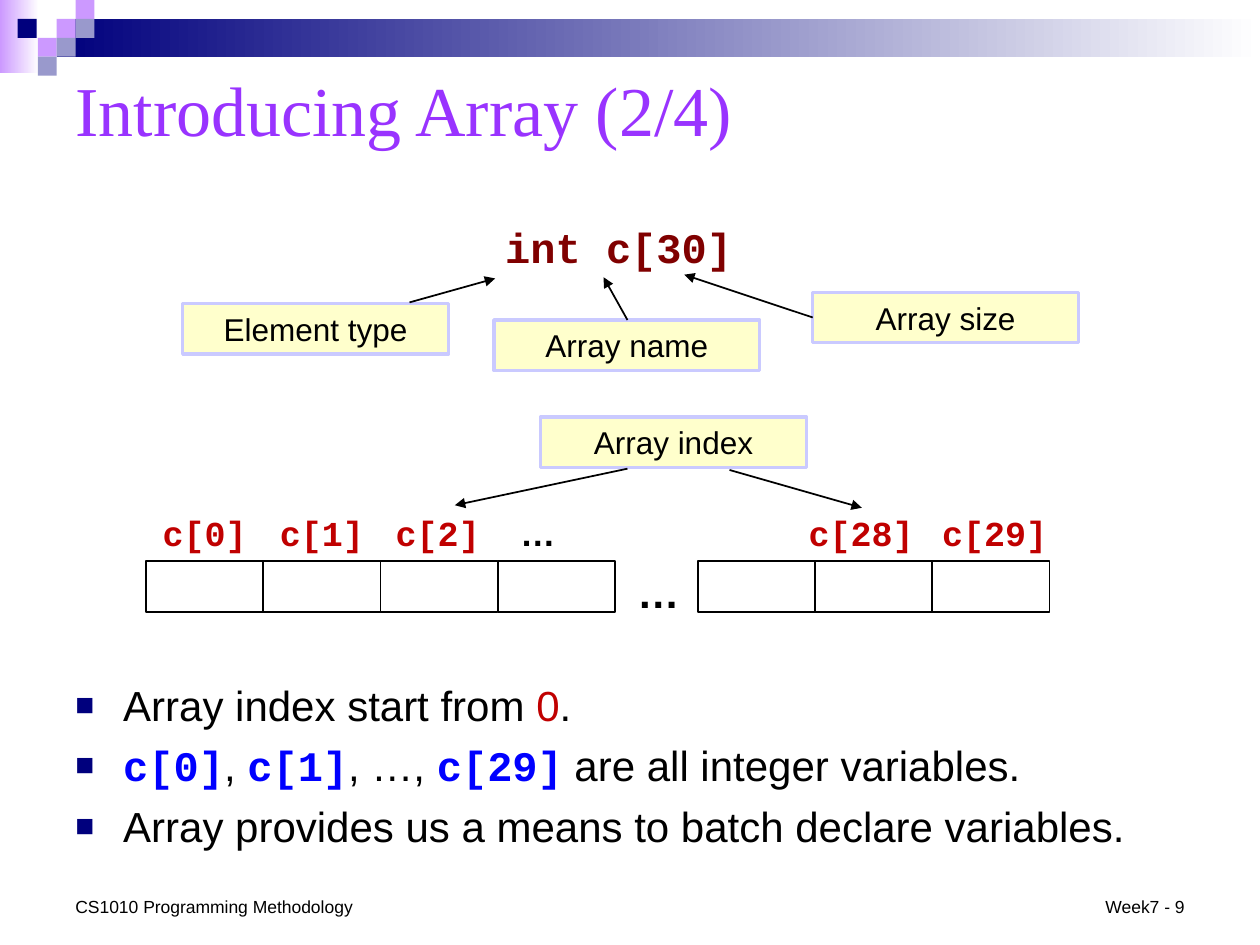
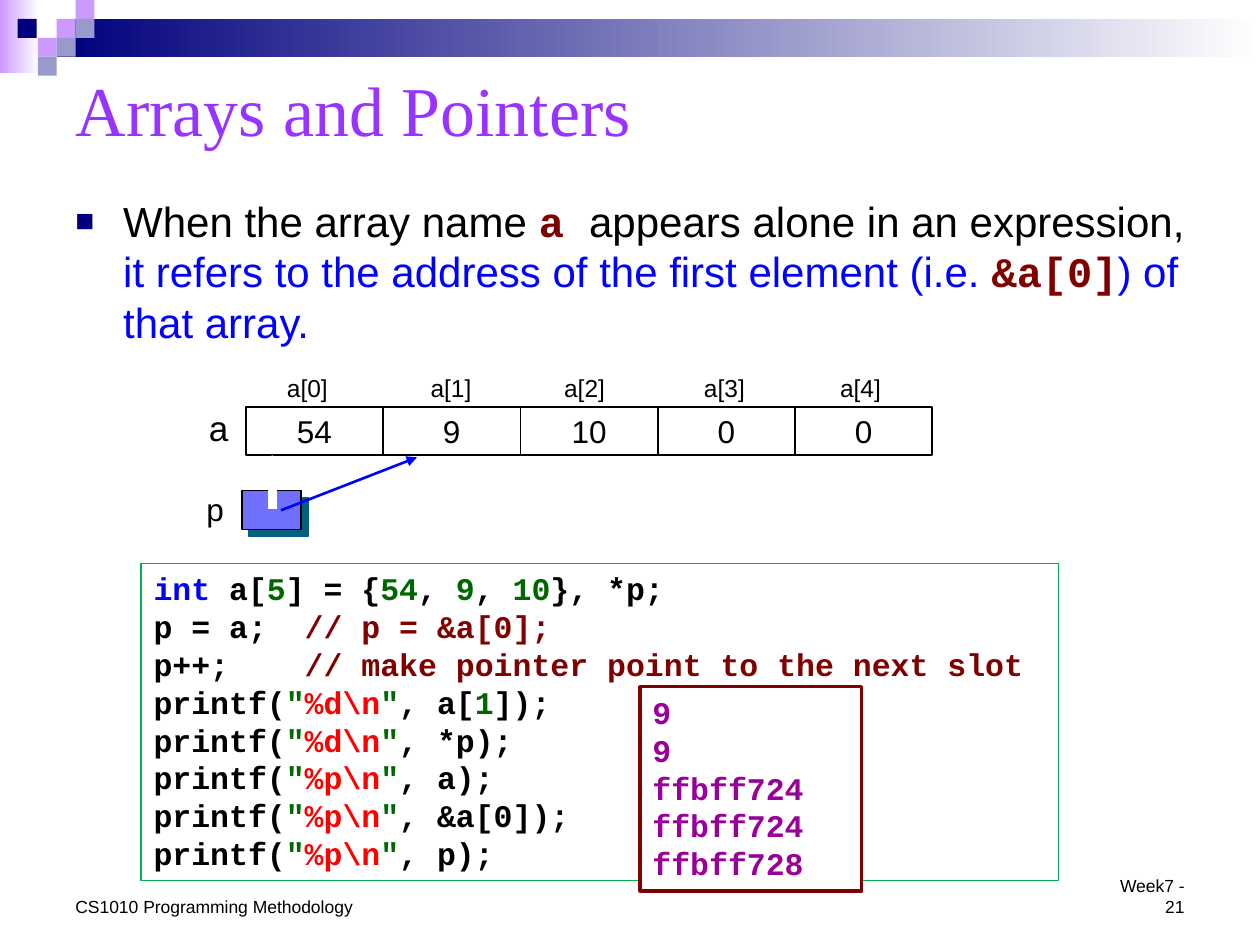
import pptx
import pptx.dml.color
import pptx.enum.shapes
import pptx.enum.text
import pptx.oxml.ns
import pptx.util
from lxml import etree
from pptx.util import Inches

SANS, MONO, SERIF = "Arial", "Courier New", "Times New Roman"
BLACK, WHITE, BLUE, RED = "000000", "FFFFFF", "0000FF", "C00000"
NAVY, LILAC, SLATE, PURPLE = "00007D", "CC99FF", "9999CC", "9933FF"
MAROON, GREEN, FORMAT_RED = "800000", "006600", "FF0000"
LEFT = pptx.enum.text.PP_ALIGN.LEFT
CENTER = pptx.enum.text.PP_ALIGN.CENTER
RIGHT = pptx.enum.text.PP_ALIGN.RIGHT
TOP = pptx.enum.text.MSO_ANCHOR.TOP
MIDDLE = pptx.enum.text.MSO_ANCHOR.MIDDLE
BOTTOM = pptx.enum.text.MSO_ANCHOR.BOTTOM
TILE = 0.15
TILES = [(0.45, 0.15, LILAC), (0.6, 0, LILAC), (0.6, 0.15, SLATE), (0.3, 0.3, LILAC),
         (0.14, 0.15, NAVY), (0.45, 0.3, SLATE), (0.3, 0.45, SLATE)]


def rgb(value):
    return pptx.dml.color.RGBColor.from_string(value)


def add_xml(parent, tag, **attributes):
    return etree.SubElement(parent, pptx.oxml.ns.qn(tag), attributes)


def set_font(font, size, name, color, bold=False):
    font.size = pptx.util.Pt(size)
    font.name = name
    font.bold = bold
    font.color.rgb = rgb(color)


def add_bullet(paragraph, first):
    properties = paragraph._p.get_or_add_pPr()
    properties.set("marL", str(Inches(0.38)))
    properties.set("indent", str(Inches(-0.38)))
    paragraph.space_before = pptx.util.Pt(0 if first else 5.8)
    add_xml(add_xml(properties, "a:buClr"), "a:srgbClr", val=NAVY)
    add_xml(properties, "a:buSzPct", val="75000")
    add_xml(properties, "a:buFont", typeface=SANS)
    add_xml(properties, "a:buChar", char="■")


def write(box, lines, size, name=SANS, color=BLACK, bold=False, align=LEFT,
          anchor=TOP, bullets=False):
    frame = box.text_frame
    frame.word_wrap = True
    frame.vertical_anchor = anchor
    for index, line in enumerate(lines):
        paragraph = frame.add_paragraph() if index else frame.paragraphs[0]
        paragraph.alignment = align
        if bullets:
            add_bullet(paragraph, index == 0)
        set_font(paragraph.font, size, name, color, bold)
        for span in [line] if isinstance(line, str) else line:
            run = paragraph.add_run()
            if isinstance(span, str):
                run.text = span
                continue
            run.text, span_color, *span_font = span
            run.font.color.rgb = rgb(span_color)
            if span_font:
                run.font.name = span_font[0]
                run.font.bold = True


def add_text(page, place, lines, size, **style):
    box = page.shapes.add_textbox(*map(Inches, place))
    write(box, lines, size, **style)
    return box


def add_box(page, place, fill=None, line=None, width=1):
    box = page.shapes.add_shape(pptx.enum.shapes.MSO_SHAPE.RECTANGLE, *map(Inches, place))
    box.shadow.inherit = False
    if fill:
        box.fill.solid()
        box.fill.fore_color.rgb = rgb(fill)
    else:
        box.fill.background()
    if line:
        box.line.color.rgb = rgb(line)
        box.line.width = pptx.util.Pt(width)
    else:
        box.line.fill.background()
    return box


def add_fading_band(page, place, color):
    band = add_box(page, place)
    band.fill.gradient()
    band.fill.gradient_angle = 0
    for stop, stop_color in zip(band.fill.gradient_stops, (color, WHITE)):
        stop.color.rgb = rgb(stop_color)


def add_arrow(page, start, end, color=BLACK, width=1):
    arrow = page.shapes.add_connector(pptx.enum.shapes.MSO_CONNECTOR.STRAIGHT,
                                      *map(Inches, start + end))
    arrow.line.color.rgb = rgb(color)
    arrow.line.width = pptx.util.Pt(width)
    properties = arrow._element.spPr
    add_xml(properties.find(pptx.oxml.ns.qn("a:ln")), "a:tailEnd", type="triangle")
    add_xml(properties, "a:effectLst")


def add_hard_shadow(box, color):
    effects = box._element.spPr.find(pptx.oxml.ns.qn("a:effectLst"))
    shadow = add_xml(effects, "a:outerShdw", dist=str(pptx.util.Pt(5.7)),
                     dir="2700000", algn="ctr", rotWithShape="0")
    add_xml(shadow, "a:srgbClr", val=color)


def add_callout(page, left, top, text):
    callout = add_box(page, (left, top, 2.11, 0.4), "FFFFCC", "CACAFF", 2)
    write(callout, [text], 18, align=CENTER, anchor=MIDDLE)


def add_cells(page, left, top, width, height, values):
    for index, value in enumerate(values):
        cell = add_box(page, (left + index * width, top, width, height), line=BLACK)
        if value:
            write(cell, [value], 18, align=CENTER, anchor=MIDDLE)


def add_bullets(page, place, lines):
    add_text(page, place, lines, 24, bullets=True)


def add_page(deck, title, number):
    page = deck.slides.add_slide(deck.slide_layouts.get_by_name("Title Only"))
    add_fading_band(page, (0, 0, 0.31, 0.58), LILAC)
    add_fading_band(page, (0.45, 0.15, 9.55, 0.3), NAVY)
    for left, top, color in TILES:
        add_box(page, (left, top, TILE, TILE), color)
    heading = page.shapes.title
    heading.left, heading.top, heading.width, heading.height = map(Inches, (0.5, 0.42, 9, 0.88))
    write(heading, [title], 40, name=SERIF, color=PURPLE, anchor=MIDDLE)
    add_text(page, (0.5, 7.06, 2.42, 0.27), ["CS1010 Programming Methodology"], 10,
             anchor=BOTTOM)
    add_text(page, (8.66, 7.06, 0.84, 0.27), [f"Week7 - {number}"], 10,
             align=RIGHT, anchor=BOTTOM)
    return page


def printf_line(conversion, *arguments):
    quote = ('"', GREEN)
    return ["printf(", quote, (conversion + "\\n", FORMAT_RED), quote, ", ", *arguments, ");"]


def build_introduction(deck):
    page = add_page(deck, "Introducing Array (2/4)", 9)
    add_text(page, (3.61, 1.71, 2.6, 0.51), ["int c[30]"], 24,
             name=MONO, color=MAROON, bold=True, align=CENTER)
    add_callout(page, 3.92, 2.54, "Array name")
    add_callout(page, 1.45, 2.41, "Element type")
    add_callout(page, 6.45, 2.32, "Array size")
    add_callout(page, 4.29, 3.31, "Array index")
    for start, end in [((4.98, 2.54), (4.79, 2.2)), ((3.25, 2.4), (3.93, 2.21)),
                       ((6.45, 2.52), (5.43, 2.18)), ((4.98, 3.72), (3.61, 4.01)),
                       ((5.79, 3.73), (6.84, 4.03))]:
        add_arrow(page, start, end)

    add_cells(page, 1.16, 4.45, 0.93, 0.41, [""] * 4)
    add_cells(page, 5.54, 4.45, 0.93, 0.41, [""] * 3)
    for left, width, text in [(1.16, 0.93, "c[0]"), (2.09, 0.93, "c[1]"), (3.01, 0.93, "c[2]"),
                              (6.28, 1.11, "c[28]"), (7.34, 1.11, "c[29]")]:
        add_text(page, (left, 4.01, width, 0.44), [text], 20,
                 name=MONO, color=RED, bold=True, align=CENTER)
    add_text(page, (4, 4.01, 0.54, 0.44), ["…"], 20, bold=True, align=CENTER)
    add_text(page, (4.93, 4.45, 0.59, 0.39), ["…"], 24, bold=True, align=CENTER)

    add_bullets(page, (0.5, 5.34, 9, 1.47), [
        ["Array index start from ", ("0", RED), "."],
        [("c[0]", BLUE, MONO), ", ", ("c[1]", BLUE, MONO), ", …, ", ("c[29]", BLUE, MONO),
         " are all integer variables."],
        "Array provides us a means to batch declare variables."])


def build_pointers(deck):
    page = add_page(deck, "Arrays and Pointers", 21)
    add_bullets(page, (0.5, 1.5, 9, 1.31), [
        ["When the array name ", ("a ", MAROON, MONO), "appears alone in an expression, ",
         ("it refers to the address of the first element (i.e. ", BLUE),
         ("&a[0]", MAROON, MONO), (") of that array.", BLUE)]])

    for index, left in enumerate([2.17, 3.31, 4.37, 5.48, 6.56]):
        add_text(page, (left, 2.91, 0.54, 0.34), [f"a[{index}]"], 14, align=CENTER)
    add_cells(page, 1.95, 3.23, 1.09, 0.38, ["54", "9", "10", "0", "0"])
    add_text(page, (1.56, 3.18, 0.36, 0.44), ["a"], 20)

    pointer = add_box(page, (1.92, 3.89, 0.47, 0.31), "7070FF", BLACK, 0.75)
    add_hard_shadow(pointer, "04617B")
    add_text(page, (1.54, 3.84, 0.34, 0.4), ["p"], 18)
    add_arrow(page, (2.23, 4.05), (3.31, 3.63), BLUE, 1.5)
    add_arrow(page, (2.16, 4.04), (2.16, 3.61), WHITE, 5)

    code = add_box(page, (1.12, 4.47, 7.28, 2.52), WHITE, "00B050", 0.75)
    write(code, [
        [("int ", BLUE), "a[", ("5", GREEN), "] = {", ("54", GREEN), ", ", ("9", GREEN),
         ", ", ("10", GREEN), "}, *p;"],
        ["p = a;  ", ("// p = &a[0];", MAROON)],
        ["p++;    ", ("// make pointer point to the next slot", MAROON)],
        printf_line("%d", "a[", ("1", GREEN), "]"),
        printf_line("%d", "*p"),
        printf_line("%p", "a"),
        printf_line("%p", "&a[0]"),
        printf_line("%p", "p")], 18, name=MONO, bold=True)
    output = add_box(page, (5.08, 5.45, 1.76, 1.62), WHITE, MAROON, 2)
    write(output, ["9", "9", "ffbff724", "ffbff724", "ffbff728"], 18,
          name=MONO, color="990099", bold=True)


def main():
    deck = pptx.Presentation()
    deck.slide_width, deck.slide_height = Inches(10), Inches(7.5)
    build_introduction(deck)
    build_pointers(deck)
    deck.save("out.pptx")


if __name__ == "__main__":
    main()
